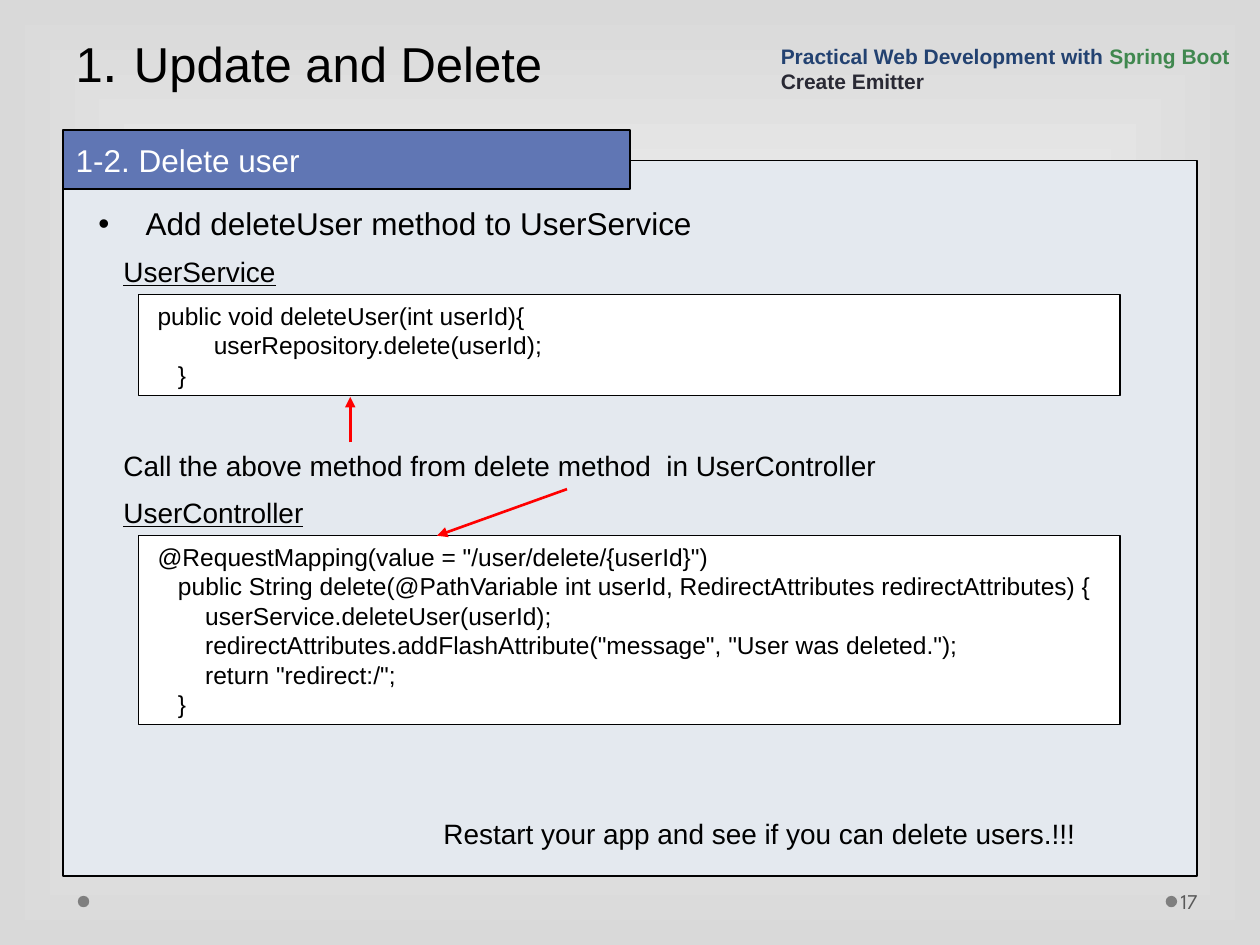
from pptx import Presentation
from pptx.dml.color import RGBColor
from pptx.enum.shapes import MSO_CONNECTOR, MSO_SHAPE
from pptx.enum.text import MSO_ANCHOR, MSO_AUTO_SIZE, PP_ALIGN
from pptx.oxml import parse_xml
from pptx.oxml.ns import nsdecls, qn
from pptx.util import Cm, Pt

RECT, OVAL = MSO_SHAPE.RECTANGLE, MSO_SHAPE.OVAL
LINE = MSO_CONNECTOR.STRAIGHT
TOP, MID, LOW = MSO_ANCHOR.TOP, MSO_ANCHOR.MIDDLE, MSO_ANCHOR.BOTTOM
FIXED, LEFT = MSO_AUTO_SIZE.NONE, PP_ALIGN.LEFT

HUES = {
    "black": "000000", "white": "FFFFFF", "edge": "D9D9D9", "dot": "7F7F7F",
    "panel": "E4E9EF", "label": "6076B4", "number": "595959", "arrow": "FF0000",
    "navy": "234271", "green": "40884F", "ink": "292934",
}
HUES = {name: RGBColor.from_string(code) for name, code in HUES.items()}


def paint(shape, fill, line=None):
    shape.fill.solid()
    shape.fill.fore_color.rgb = HUES[fill]
    if line:
        shape.line.color.rgb = HUES[line]
        shape.line.width = Pt(0.75)
    else:
        shape.line.fill.background()


def write(shape, lines, size, anchor=TOP, **look):
    """Fill a shape with lines, each a list of (text, hue, own size or None)."""
    frame = shape.text_frame
    setup = {"word_wrap": True, "auto_size": FIXED, "vertical_anchor": anchor}
    for key, value in setup.items():
        setattr(frame, key, value)
    for i, line in enumerate(lines):
        para = frame.add_paragraph() if i else frame.paragraphs[0]
        para.alignment = LEFT
        para.space_before = Pt(0)
        for text, hue, own in line:
            run = para.add_run()
            run.text = text
            run.font.color.rgb = HUES[hue]
            style = {"name": "Arial", "size": Pt(own or size), **look}
            for key, value in style.items():
                setattr(run.font, key, value)


deck = Presentation()
deck.slide_width, deck.slide_height = Cm(25.4), Cm(19.05)
slide = deck.slides.add_slide(deck.slide_layouts[3])
shapes = slide.shapes
title, label, topic = list(slide.placeholders)[:3]
for spare in list(slide.placeholders)[3:]:
    spare.element.getparent().remove(spare.element)

# Background: light centre, grey edge
back = slide.background.fill
back.gradient()
for stop, hue in zip(back.gradient_stops, ("white", "edge")):
    stop.color.rgb = HUES[hue]
grad = slide.background._cSld.find(".//" + qn("a:gradFill"))
grad.replace(grad.find(qn("a:lin")), parse_xml(
    f'<a:path {nsdecls("a")} path="rect">'
    '<a:fillToRect l="50000" t="50000" r="50000" b="50000"/></a:path>'))

# Panel behind the placeholders, and footer dots
panel = shapes.add_shape(RECT, Cm(1.27), Cm(3.23), Cm(22.86), Cm(14.43))
panel.shadow.inherit = False
paint(panel, "panel", "black")
title.element.addprevious(panel.element)
for x in (1.57, 23.5):
    dot = shapes.add_shape(OVAL, Cm(x), Cm(18.06), Cm(0.23), Cm(0.23))
    dot.shadow.inherit = False
    paint(dot, "dot")

# Title, section label and list
for holder, spot in (
    (title, (1.27, 0, 22.86, 2.01)),
    (label, (1.27, 2.62, 11.43, 1.19)),
    (topic, (1.73, 3.99, 19.66, 1.02)),
):
    for key, value in zip(("left", "top", "width", "height"), spot):
        setattr(holder, key, Cm(value))

write(title, [[("1", "black", None), (". ", "black", 32),
               ("Update and Delete", "black", None)]], 28, LOW)
title.text_frame.paragraphs[0].line_spacing = Pt(58)

paint(label, "label", "black")
write(label, [[("1-2. Delete user", "white", None)]], 18, MID)
props = label.text_frame.paragraphs[0]._p.get_or_add_pPr()
props.set("marL", "0")
props.set("indent", "0")
props.append(parse_xml(f'<a:buNone {nsdecls("a")}/>'))

write(topic, [[("Add deleteUser method to UserService", "black", None)]], 18)
props = topic.text_frame.paragraphs[0]._p.get_or_add_pPr()
props.set("marL", str(Cm(0.95)))
props.set("indent", str(Cm(-0.95)))

# Course header and slide number
head = shapes.add_textbox(Cm(15.49), Cm(0.61), Cm(9.91), Cm(1.4))
write(head, [
    [("Practical Web Development with ", "navy", None),
     ("Spring Boot", "green", None)],
    [("Create Emitter", "ink", None)],
], 12, LOW, bold=True)

number = shapes.add_textbox(Cm(23.72), Cm(17.65), Cm(1.55), Cm(1.02))
number.text_frame.margin_left = Cm(0.08)
write(number, [[("17", "number", None)]], 12, MID, name="League Spartan")

# Captions
for text, x, y, wide, under in (
    ("UserService", 2.24, 5, 5.33, True),
    ("Call the above method from delete method  in UserController",
     2.24, 8.92, 20.37, False),
    ("UserController", 2.24, 9.86, 5.33, True),
    ("Restart your app and see if you can delete users.!!!",
     8.69, 16.33, 15.06, False),
):
    note = shapes.add_textbox(Cm(x), Cm(y), Cm(wide), Cm(0.94))
    write(note, [[(text, "black", None)]], 16, underline=under)

# Code boxes
SERVICE = """ public void deleteUser(int userId){
    \tuserRepository.delete(userId);
    }"""
CONTROL = """ @RequestMapping(value = "/user/delete/{userId}")
    public String delete(@PathVariable int userId, RedirectAttributes redirectAttributes) {
        userService.deleteUser(userId);
        redirectAttributes.addFlashAttribute("message", "User was deleted.");
        return "redirect:/";
    }"""
for code, y, high in ((SERVICE, 5.94, 2.03), (CONTROL, 10.8, 3.81)):
    box = shapes.add_shape(RECT, Cm(2.79), Cm(y), Cm(19.79), Cm(high))
    box.shadow.inherit = False
    paint(box, "white", "black")
    write(box, [[(line, "black", None)] for line in code.split("\n")], 14)
    for para in box.text_frame.paragraphs:
        para._p.get_or_add_pPr().append(parse_xml(
            f'<a:tabLst {nsdecls("a")}><a:tab pos="{Cm(1.27)}" algn="l"/></a:tabLst>'))

# Arrows from the call caption to both code boxes
for ends in ((7.06, 8.92, 7.06, 8), (11.43, 9.86, 8.81, 10.8)):
    arrow = shapes.add_connector(LINE, *map(Cm, ends))
    arrow.line.color.rgb = HUES["arrow"]
    arrow.line.width = Pt(1.5)
    arrow.line._ln.append(parse_xml(f'<a:tailEnd {nsdecls("a")} type="triangle"/>'))
    arrow._element.spPr.append(parse_xml(f'<a:effectLst {nsdecls("a")}/>'))

deck.save("out.pptx")
